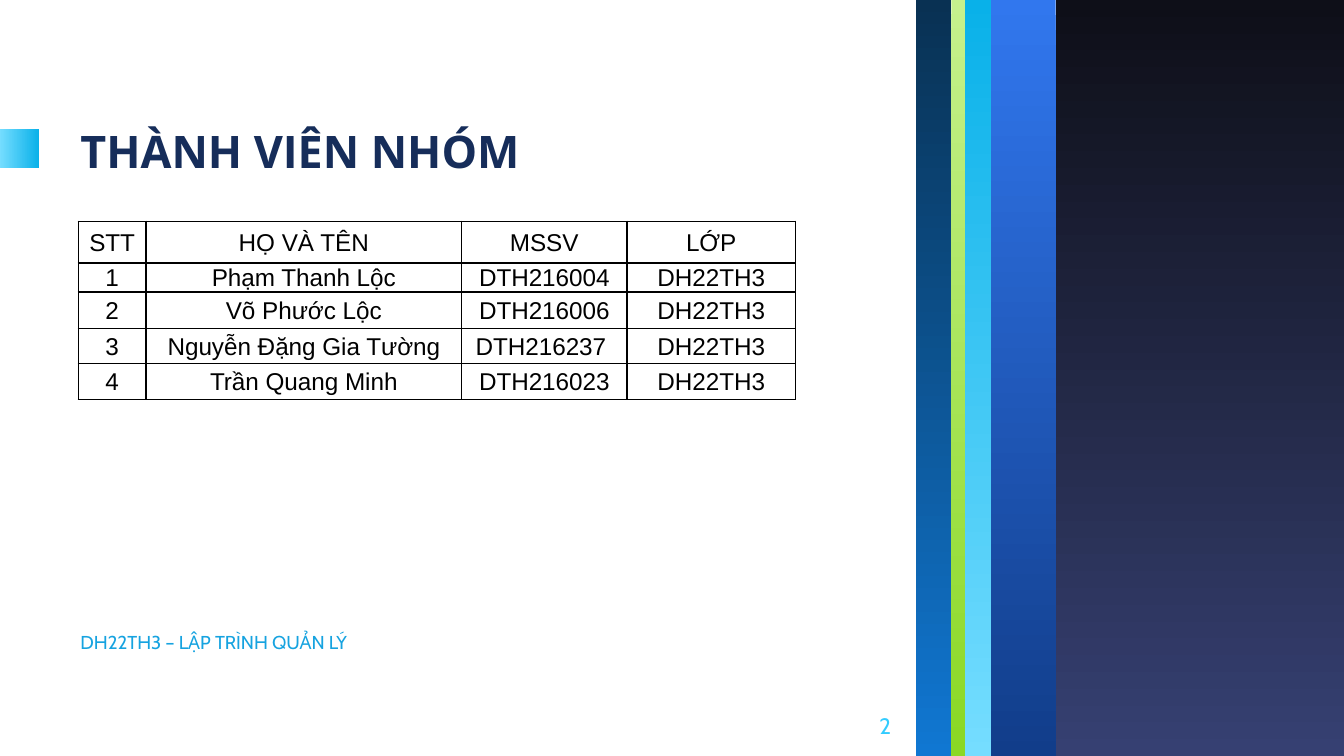
from itertools import pairwise

from lxml import etree
from pptx import Presentation
from pptx.dml.color import RGBColor
from pptx.enum.shapes import MSO_SHAPE
from pptx.enum.text import MSO_ANCHOR, MSO_AUTO_SIZE, PP_ALIGN
from pptx.oxml.ns import qn
from pptx.util import Cm, Pt

RECTANGLE = MSO_SHAPE.RECTANGLE
TOP, MIDDLE, BOTTOM = MSO_ANCHOR.TOP, MSO_ANCHOR.MIDDLE, MSO_ANCHOR.BOTTOM
LEFT, CENTER, RIGHT = PP_ALIGN.LEFT, PP_ALIGN.CENTER, PP_ALIGN.RIGHT
NO_AUTOFIT = MSO_AUTO_SIZE.NONE

PAGE_WIDTH, PAGE_HEIGHT = 25.4, 14.29

COLORS = {
    "title": "162D5A", "footer": "16A3E0", "number": "33CCFF", "table": "000000",
    "sky_light": "75DDFF", "sky": "09B1E9",
    "blue_light": "3177EE", "blue": "113D8A",
    "lime_light": "C6F18D", "lime": "8AD824",
    "ocean_light": "1077D2", "ocean": "093153",
    "night_light": "364072", "night": "0E0F18",
}

# Stripe family and rotation, from left to right
STRIPES = [("ocean", 180), ("lime", 0), ("sky", 180), ("blue", 0), ("night", 180)]
STRIPE_EDGES = [0, 0.67, 0.93, 1.42, 2.64, 8.09]

FONTS = {
    "title": {"name": "Open Sans", "size": Pt(24), "bold": True},
    "footer": {"name": "Cabin", "size": Pt(10), "bold": False},
    "number": {"name": "Cabin", "size": Pt(12), "bold": False},
    "table": {"name": "Arial", "size": Pt(13), "bold": False},
}

MEMBERS = [
    ("STT", "HỌ VÀ TÊN", "MSSV", "LỚP"),
    ("1", "Phạm Thanh Lộc", "DTH216004", "DH22TH3"),
    ("2", "Võ Phước Lộc", "DTH216006", "DH22TH3"),
    ("3", "Nguyễn Đặng Gia Tường", "DTH216237 ", "DH22TH3"),
    ("4", "Trần Quang Minh", "DTH216023", "DH22TH3"),
]
COLUMN_WIDTHS = [1.28, 5.96, 3.13, 3.18]
ROW_HEIGHTS = [0.79, 0.51, 0.69, 0.67, 0.67]


def set_values(target, values):
    for name, value in values.items():
        setattr(target, name, value)


def write_text(frame, text, style, align):
    para = frame.paragraphs[0]
    para.alignment = align
    para.space_before = Pt(0)
    span = para.add_run()
    span.text = text
    set_values(span.font, FONTS[style])
    span.font.color.rgb = RGBColor.from_string(COLORS[style])
    return para


def fill_text_box(shape, box, text, style, anchor, align=LEFT):
    left, top, width, height = map(Cm, box)
    set_values(shape, {"left": left, "top": top, "width": width, "height": height})
    inset = Cm(0.25)
    set_values(shape.text_frame, {
        "word_wrap": True, "auto_size": NO_AUTOFIT, "vertical_anchor": anchor,
        "margin_left": inset, "margin_right": inset,
        "margin_top": inset, "margin_bottom": inset,
    })
    write_text(shape.text_frame, text, style, align)


def add_gradient_bar(page, box, start, end, rotation):
    bar = page.shapes.add_shape(RECTANGLE, *map(Cm, box))
    bar.rotation = rotation
    bar.shadow.inherit = False
    bar.line.fill.background()
    bar.fill.gradient()
    bar.fill.gradient_angle = 270
    for stop, color in zip(bar.fill.gradient_stops, (start, end)):
        stop.color.rgb = RGBColor.from_string(COLORS[color])


def add_stripes(page, box):
    left, top, _, height = box
    for (family, rotation), (near, far) in zip(STRIPES, pairwise(STRIPE_EDGES)):
        stripe_box = (left + near, top, far - near, height)
        start, end = f"{family}_light", family
        add_gradient_bar(page, stripe_box, start, end, rotation)


def add_cell_borders(cell):
    properties = cell._tc.get_or_add_tcPr()
    for side in ("a:lnL", "a:lnR", "a:lnT", "a:lnB"):
        line = etree.SubElement(properties, qn(side), w=str(Pt(0.75)))
        fill = etree.SubElement(line, qn("a:solidFill"))
        etree.SubElement(fill, qn("a:srgbClr"), val=COLORS["table"])


def add_member_table(page, box):
    frame = page.shapes.add_table(len(MEMBERS), len(COLUMN_WIDTHS), *map(Cm, box))
    table = frame.table
    set_values(table, {"first_row": False, "horz_banding": False})
    for column, width in zip(table.columns, COLUMN_WIDTHS):
        column.width = Cm(width)
    for row, height, values in zip(table.rows, ROW_HEIGHTS, MEMBERS):
        row.height = Cm(height)
        for cell, text in zip(row.cells, values):
            set_values(cell, {
                "margin_left": Cm(0.18), "margin_right": Cm(0.18),
                "margin_top": 0, "margin_bottom": 0, "vertical_anchor": MIDDLE,
            })
            add_cell_borders(cell)
            cell.fill.background()
            para = write_text(cell.text_frame, text, "table", CENTER)
            para.line_spacing = 1.07


def add_member_page(deck):
    page = deck.slides.add_slide(deck.slide_layouts[2])

    # Decoration: title tab and stripes on the right
    add_gradient_bar(page, (0, 2.44, 0.74, 0.74), "sky_light", "sky", 270)
    add_stripes(page, (17.31, 0, PAGE_WIDTH - 17.31, PAGE_HEIGHT))

    # Title, footer line and page number
    title, body = page.placeholders
    fill_text_box(title, (1.27, 1.57, 14.73, 2.03), "THÀNH VIÊN NHÓM", "title", BOTTOM)
    fill_text_box(body, (1.27, 11.68, 14.73, 2.29),
                  "DH22TH3 – LẬP TRÌNH QUẢN LÝ", "footer", TOP)
    number = page.shapes.add_textbox(0, 0, 0, 0)
    fill_text_box(number, (15.57, 13.18, 1.52, 1.09), "2", "number", MIDDLE, RIGHT)

    # Group members
    add_member_table(page, (1.48, 4.18, sum(COLUMN_WIDTHS), sum(ROW_HEIGHTS)))


def main():
    deck = Presentation()
    deck.slide_width, deck.slide_height = Cm(PAGE_WIDTH), Cm(PAGE_HEIGHT)
    add_member_page(deck)
    deck.save("out.pptx")


if __name__ == "__main__":
    main()
